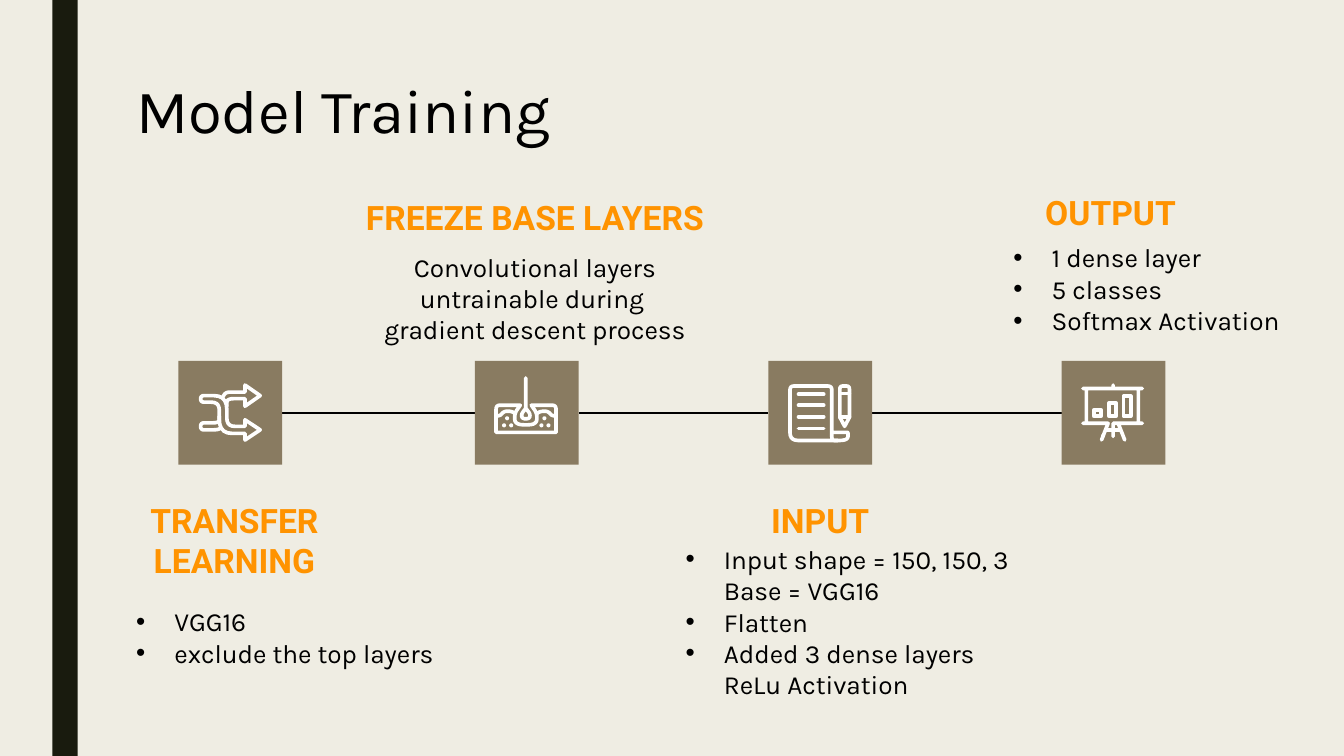
"""Build the Model Training slide: four linked icon tiles with headings and notes."""
from dataclasses import dataclass
from math import dist

from pptx import Presentation
from pptx.dml.color import RGBColor
from pptx.enum.shapes import MSO_CONNECTOR, MSO_SHAPE
from pptx.enum.text import MSO_ANCHOR, PP_ALIGN
from pptx.oxml.ns import qn
from pptx.util import Cm, Pt

RECTANGLE, OVAL = MSO_SHAPE.RECTANGLE, MSO_SHAPE.OVAL
STRAIGHT = MSO_CONNECTOR.STRAIGHT
LEFT, CENTER = PP_ALIGN.LEFT, PP_ALIGN.CENTER
TOP = MSO_ANCHOR.TOP


@dataclass(frozen=True)
class Theme:
    paper: str = "EFEDE3"
    band: str = "191B0E"
    tile: str = "897B61"
    accent: str = "FF9300"
    ink: str = "000000"
    icon: str = "FFFFFF"
    body_font: str = "Karla"
    heading_font: str = "Roboto"
    title_size: float = 44
    heading_size: float = 24
    body_size: float = 18.67
    link_width: float = 1.5
    icon_width: float = 2.6


THEME = Theme()

TITLE = ("Model Training", (1.22, 0.67, 11.25, 0.84))
HEADINGS = [
    ("TRANSFER LEARNING", (1.04, 4.83, 2.57, 0.52)),
    ("FREEZE BASE LAYERS", (3.4, 1.82, 3.81, 0.52)),
    ("INPUT", (6.85, 4.83, 2.57, 0.52)),
    ("OUTPUT", (9.73, 1.77, 2.57, 0.52)),
]
SUMMARY = ("Convolutional layers\nuntrainable during \ngradient descent process",
           (3.64, 2.36, 3.33, 0.84))
LISTS = [
    ("VGG16\nexclude the top layers", (1.22, 5.88, 3.61, 0.84)),
    ("Input shape = 150, 150, 3\vBase = VGG16\nFlatten\n"
     "Added 3 dense layers\vReLu Activation", (6.67, 5.26, 3.61, 1.75)),
    ("1 dense layer\n5 classes\nSoftmax Activation", (9.92, 2.27, 2.93, 1.33)),
]

TILE_LEFTS = [1.77, 4.71, 7.62, 10.53]
TILE_TOP, TILE_SIZE = 3.58, 1.03

# Points are hundredths of an inch inside the tile, with an optional corner radius.
SHUFFLE = {
    "closed": [[(22, 34.5, 3.5), (48, 34.5, 14), (48, 65, 8), (66, 65), (66, 58.5),
                (81, 68.5), (66, 78.5), (66, 72), (40.5, 72, 14), (40.5, 41, 8),
                (22, 41, 3.5)]],
    "open": [[(43.5, 36.5), (47, 31, 4), (66, 31), (66, 24), (81, 34.5), (66, 45),
              (66, 37.5), (48, 37.5, 7), (48, 45)],
             [(40.5, 55), (40.5, 61.5, 6), (22, 61.5, 3.5), (22, 68.5, 3.5),
              (39, 68.5, 6), (42, 66.5)]],
}
SOIL = {
    "closed": [[(21, 71), (21, 44, 4), (45, 44), (39.5, 52, 4), (39.5, 63.5, 9),
                (61.5, 63.5, 9), (61.5, 52, 4), (56, 44), (80.5, 44, 4), (80.5, 71)],
               [(50.5, 17), (50.5, 47), (55, 53, 3), (54, 57.5, 4), (47, 57.5, 4),
                (46, 53, 3), (50.5, 47)]],
    "open": [[(21, 54.5), (25, 54.5, 2), (29, 50, 3), (36, 50, 3), (39.5, 52)],
             [(80.5, 54.5), (76.5, 54.5, 2), (72.5, 50, 3), (65.5, 50, 3), (62, 52)]],
    "dots": [(29, 64), (32, 57), (36, 64), (69, 57), (66, 64), (73, 64)],
}
SCROLL = {
    "closed": [[(21.5, 25, 4), (63, 25, 4), (63, 71), (79, 71, 1), (79, 79, 8),
                (21.5, 79, 8)],
               [(71, 25, 3), (80.5, 25, 3), (80.5, 56), (75.75, 65), (71, 56)]],
    "open": [[(30, y), (55, y)] for y in (33, 44, 55.5, 67)]
            + [[(71, y), (80.5, y)] for y in (32.5, 56)]
            + [[(63, 71), (63, 79, 6), (69, 79)]],
}
BOARD = {
    "closed": [[(x, y), (x + 7, y), (x + 7, 55), (x, 55)]
               for x, y in ((32, 48.5), (47, 42), (61.5, 35))],
    "open": [[(39.5, 78.5), (46, 62), (21, 62), (24.5, 62), (24.5, 27.5), (21, 27.5),
              (51, 27.5), (51, 24), (51, 27.5), (80, 27.5), (76, 27.5), (76, 62),
              (80, 62), (51, 62), (51, 75), (51, 62), (56, 62), (62.5, 78.5)],
             [(44, 68.5), (58, 68.5)]],
    "spots": [(41, 74.5)],
}
ICONS = [SHUFFLE, SOIL, SCROLL, BOARD]
DOT_SIZE = 0.04


def inch(value):
    return Cm(value * 2.54)


def color(name):
    return RGBColor.from_string(name)


def add_solid(page, kind, frame, fill):
    shape = page.shapes.add_shape(kind, *map(inch, frame))
    shape.shadow.inherit = False
    shape.fill.solid()
    shape.fill.fore_color.rgb = color(fill)
    shape.line.fill.background()


def add_text(page, text, frame, font=THEME.body_font, size=THEME.body_size,
             ink=THEME.ink, bold=False, align=LEFT, bullet=False, spacing=1.0):
    box = page.shapes.add_textbox(*map(inch, frame))
    body = box.text_frame
    body.word_wrap = True
    body.vertical_anchor = TOP
    body.margin_left = body.margin_right = inch(0.13)
    body.margin_top = body.margin_bottom = inch(0.13)
    body.text = text
    for para in body.paragraphs:
        para.alignment = align
        para.line_spacing = spacing
        if bullet:
            props = para._p.get_or_add_pPr()
            props.set("marL", str(inch(0.38)))
            props.set("indent", str(-inch(0.38)))
            typeface = props.makeelement(qn("a:buFont"), {"typeface": "Arial"})
            mark = props.makeelement(qn("a:buChar"), {"char": "•"})
            props.extend([typeface, mark])
        for span in para.runs:
            span.font.name = font
            span.font.size = Pt(size)
            span.font.bold = bold
            span.font.color.rgb = color(ink)


def add_line(page, start, end, ink, width):
    line = page.shapes.add_connector(STRAIGHT, *map(inch, (*start, *end)))
    line.line.color.rgb = color(ink)
    line.line.width = Pt(width)
    props = line._element.spPr
    props.append(props.makeelement(qn("a:effectLst"), {}))
    return line


def round_corners(points, closed):
    """Replace each corner that has a radius by a sampled quadratic curve."""
    result = []
    for index, (x, y, *extra) in enumerate(points):
        at_end = not closed and index in (0, len(points) - 1)
        if at_end or not extra:
            result.append((x, y))
            continue
        ends = []
        for near in (points[index - 1], points[(index + 1) % len(points)]):
            share = min(extra[0] / dist((x, y), near[:2]), 0.5)
            ends.append((x + (near[0] - x) * share, y + (near[1] - y) * share))
        for t in (0, 0.2, 0.4, 0.6, 0.8, 1):
            result.append(tuple((1 - t) ** 2 * a + 2 * t * (1 - t) * b + t * t * c
                                for a, b, c in zip(ends[0], (x, y), ends[1])))
    return result


def add_stroke(page, points, left, closed):
    spots = [(left + x / 100, TILE_TOP + y / 100) for x, y in round_corners(points, closed)]
    if len(spots) == 2:
        shape = add_line(page, *spots, THEME.icon, THEME.icon_width)
    else:
        first, *rest = [(inch(x), inch(y)) for x, y in spots]
        builder = page.shapes.build_freeform(*first, scale=1.0)
        builder.add_line_segments(rest, close=closed)
        shape = builder.convert_to_shape()
        shape.shadow.inherit = False
        shape.fill.background()
        shape.line.color.rgb = color(THEME.icon)
        shape.line.width = Pt(THEME.icon_width)
    outline = shape.line._get_or_add_ln()
    outline.set("cap", "rnd")
    outline.append(outline.makeelement(qn("a:round"), {}))


def main():
    deck = Presentation()
    deck.slide_width, deck.slide_height = inch(13.33), inch(7.5)
    page = deck.slides.add_slide(deck.slide_layouts[6])
    page.background.fill.solid()
    page.background.fill.fore_color.rgb = color(THEME.paper)
    add_solid(page, RECTANGLE, (0.52, 0, 0.25, 7.5), THEME.band)

    add_text(page, *TITLE, size=THEME.title_size, spacing=0.89)
    for text, frame in HEADINGS:
        add_text(page, text, frame, font=THEME.heading_font, size=THEME.heading_size,
                 ink=THEME.accent, bold=True, align=CENTER)
    add_text(page, *SUMMARY, align=CENTER)
    for text, frame in LISTS:
        add_text(page, text, frame, bullet=True)

    middle = TILE_TOP + TILE_SIZE / 2
    for left, following in zip(TILE_LEFTS, TILE_LEFTS[1:]):
        add_line(page, (left + TILE_SIZE, middle), (following, middle),
                 THEME.ink, THEME.link_width)
    for left, icon in zip(TILE_LEFTS, ICONS):
        add_solid(page, RECTANGLE, (left, TILE_TOP, TILE_SIZE, TILE_SIZE), THEME.tile)
        for kind, fill in (("spots", THEME.paper), ("dots", THEME.icon)):
            for x, y in icon.get(kind, []):
                corner = (left + x / 100 - DOT_SIZE / 2, TILE_TOP + y / 100 - DOT_SIZE / 2)
                add_solid(page, OVAL, (*corner, DOT_SIZE, DOT_SIZE), fill)
        for kind in ("closed", "open"):
            for points in icon[kind]:
                add_stroke(page, points, left, kind == "closed")
    deck.save("out.pptx")


if __name__ == "__main__":
    main()
